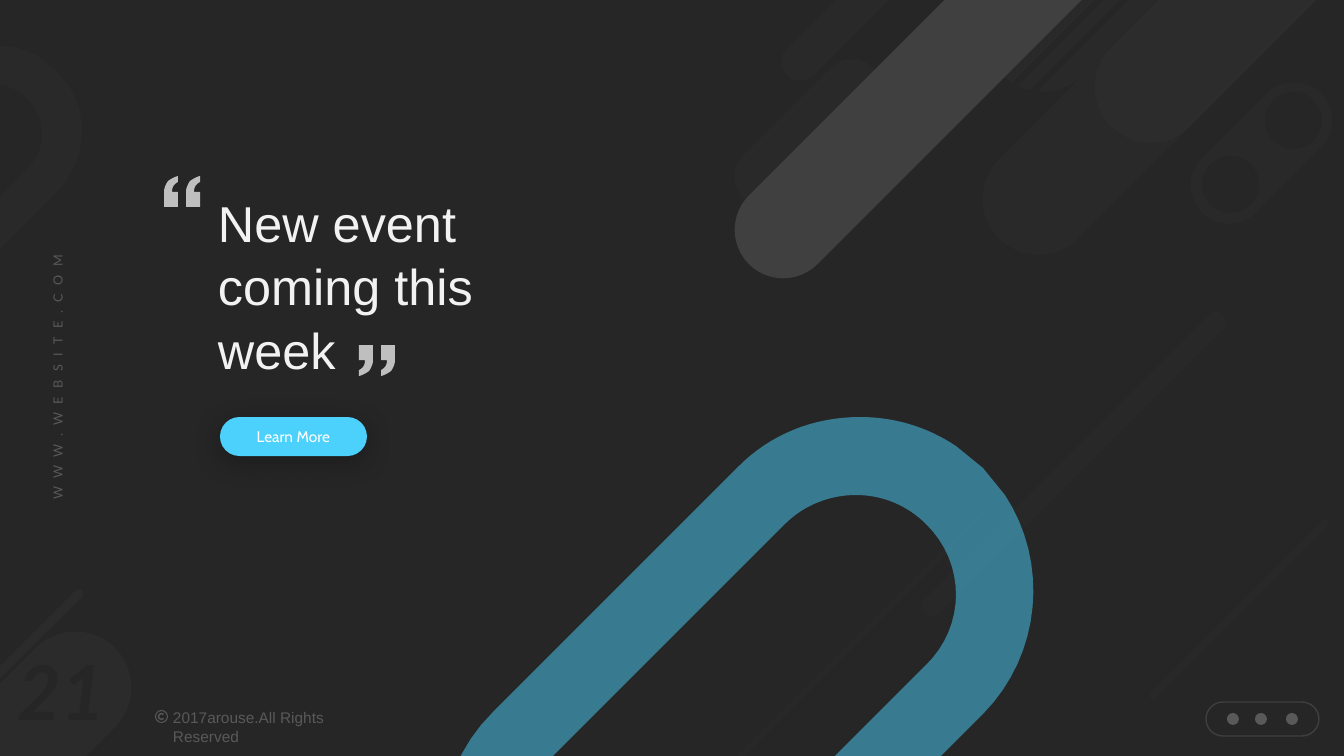
from dataclasses import dataclass
from typing import NamedTuple

from lxml import etree
from pptx import Presentation
from pptx.dml.color import RGBColor
from pptx.enum.shapes import MSO_SHAPE
from pptx.enum.text import MSO_ANCHOR, PP_ALIGN
from pptx.oxml.ns import qn
from pptx.util import Emu, Pt

PILL, OVAL = MSO_SHAPE.ROUNDED_RECTANGLE, MSO_SHAPE.OVAL
DONUT, BLOCK_ARC = MSO_SHAPE.DONUT, MSO_SHAPE.BLOCK_ARC
LEFT, CENTER = PP_ALIGN.LEFT, PP_ALIGN.CENTER
TOP, MIDDLE = MSO_ANCHOR.TOP, MSO_ANCHOR.MIDDLE

EMU_PER_PX = 914400 / 100.8
CURVE_STEPS = 16
DIAGONAL = 45


@dataclass(frozen=True)
class Theme:
    night: str = "262626"
    ash: str = "404040"
    muted: str = "595959"
    quote: str = "BFBFBF"
    headline: str = "F2F2F2"
    white: str = "FFFFFF"
    accent: str = "4BD1FB"
    shadow: str = "0D0D0D"
    headline_font = dict(name="Arial", size=Pt(36))
    rights_font = dict(name="Arial", size=Pt(11))
    button_font = dict(name="Cabin", size=Pt(11))
    address_font = dict(name="Lato", size=Pt(9))
    number_font = dict(name="Lato", size=Pt(54), bold=True, italic=True)


THEME = Theme()


class Box(NamedTuple):
    left: int
    top: int
    width: int
    height: int

    def inner(self, left, top, width, height):
        """Box placed relative to this box's corner."""
        return Box(self.left + left, self.top + top, width, height)


LEFT_LOOP = [
    [(0, 0), (8, 0), (20, 2, 32, 6, 42, 13), (56, 25), (68, 39),
     (90, 72, 86, 117, 56, 147), (0, 203), (0, 151), (28, 122),
     (47, 103, 47, 73, 28, 53), (21, 46, 12, 41, 3, 39), (0, 39)],
]
BLUE_LOOP = [
    [(856, 495), (830, 495, 804, 505, 785, 524), (549, 760),
     (510, 799, 510, 862, 549, 901), (588, 940, 651, 940, 690, 901),
     (926, 665), (966, 626, 966, 563, 926, 524), (907, 505, 882, 495, 856, 495)],
    [(860, 417), (893, 417, 926, 426, 956, 446), (983, 468), (1005, 495),
     (1049, 562, 1042, 654, 983, 714), (739, 958), (671, 1025, 561, 1025, 493, 958),
     (425, 889, 425, 779, 493, 712), (737, 468), (770, 434, 814, 417, 860, 417)],
]
QUOTE_STROKE = [(14, 0), (14, 6), (10, 8, 8, 11, 8, 16), (14, 16), (14, 31),
                (0, 31), (0, 16), (0, 12, 2, 8, 4, 5), (7, 3, 10, 1, 14, 0)]
QUOTE_MARK = [[tuple(v + 22 * (i % 2 == 0) * n for i, v in enumerate(step))
               for step in QUOTE_STROKE] for n in (0, 1)]


def px(length):
    return Emu(round(length * EMU_PER_PX))


def set_alpha(color_holder, alpha):
    color = next(color_holder.iter(qn("a:srgbClr")))
    etree.SubElement(color, qn("a:alpha"), val=str(alpha * 1000))


def paint(shape, color, alpha=100):
    shape.shadow.inherit = False
    shape.line.fill.background()
    shape.fill.solid()
    shape.fill.fore_color.rgb = RGBColor.from_string(color)
    if alpha < 100:
        set_alpha(shape._element.spPr.find(qn("a:solidFill")), alpha)
    return shape


def add_preset(slide, kind, box, color, alpha=100, rotation=0, adjustments=()):
    shape = slide.shapes.add_shape(kind, *map(px, box))
    for index, value in enumerate(adjustments):
        shape.adjustments[index] = value
    shape.rotation = rotation
    return paint(shape, color, alpha)


def add_pill(slide, box, color, alpha=100, rotation=DIAGONAL):
    return add_preset(slide, PILL, box, color, alpha, rotation, (0.5,))


def flatten(contour):
    """Points of a contour; six-number steps are Bezier curves."""
    points = [contour[0]]
    for step in contour[1:]:
        if len(step) == 2:
            points.append(step)
            continue
        x0, y0 = points[-1]
        x1, y1, x2, y2, x3, y3 = step
        for n in range(1, CURVE_STEPS + 1):
            t = n / CURVE_STEPS
            a, b, c, d = (1 - t) ** 3, 3 * t * (1 - t) ** 2, 3 * t * t * (1 - t), t ** 3
            points.append((a * x0 + b * x1 + c * x2 + d * x3,
                           a * y0 + b * y1 + c * y2 + d * y3))
    return points


def add_outline(slide, box, contours, color, alpha=100):
    builder = None
    for contour in contours:
        start, *rest = [(px(box.left + x), px(box.top + y)) for x, y in flatten(contour)]
        if builder is None:
            builder = slide.shapes.build_freeform(*start)
        else:
            builder.move_to(*start)
        builder.add_line_segments(rest)
    return paint(builder.convert_to_shape(), color, alpha)


def write(shape, text, font, color, align=LEFT, anchor=TOP, inset=(10, 5), spacing=None):
    frame = shape.text_frame
    across, down = map(px, inset)
    layout = dict(word_wrap=True, vertical_anchor=anchor, margin_left=across,
                  margin_right=across, margin_top=down, margin_bottom=down)
    for key, value in layout.items():
        setattr(frame, key, value)
    paragraph = frame.paragraphs[0]
    paragraph.alignment = align
    paragraph.line_spacing = spacing
    run = paragraph.add_run()
    run.text = text
    for key, value in font.items():
        setattr(run.font, key, value)
    run.font.color.rgb = RGBColor.from_string(color)
    return run


def add_label(slide, box, *args, **kwargs):
    return write(slide.shapes.add_textbox(*map(px, box)), *args, **kwargs)


def draw_top_right(slide, box):
    for left, top in ((262, -290), (374, -402), (266, -453)):
        add_pill(slide, box.inner(left, top, 112, 619), THEME.ash, 15)
    add_pill(slide, box.inner(323, 69, 77, 168), THEME.ash, 15)
    for left, top in ((365, 92), (302, 156)):
        add_preset(slide, OVAL, box.inner(left, top, 57, 57), THEME.night)
    for n in range(5):
        add_pill(slide, box.inner(77 + n * 49 // 2, -241, 6, 575), THEME.night)


def draw_thin_streaks(slide, box):
    for streak, alpha in (((836, 448, 5, 420), 10), ((1064, 253, 20, 422), 10),
                          ((778, 41, 60, 184), 12), ((833, -82, 38, 184), 15),
                          ((1236, 484, 7, 251), 10)):
        add_pill(slide, box.inner(*streak), THEME.ash, alpha)


def draw_page_number(slide, box):
    add_pill(slide, box.inner(-6, 51, 112, 184), THEME.ash, 20)
    add_pill(slide, box.inner(28, 0, 9, 140), THEME.ash, 20)
    add_label(slide, box.inner(18, 75, 100, 92), "21", THEME.number_font, THEME.night,
              inset=(0, 0))


def draw_rights(slide, box):
    add_preset(slide, DONUT, box.inner(0, 8, 13, 13), THEME.muted, adjustments=(0.08,))
    add_preset(slide, BLOCK_ARC, box.inner(3, 11, 7, 7), THEME.muted,
               adjustments=(27, 189, 0.2))
    add_label(slide, box.inner(8, 0, box.width, box.height),
              "2017arouse.All Rights Reserved", THEME.rights_font, THEME.muted, spacing=1.05)


def draw_address(slide, box):
    holder = slide.shapes.add_textbox(*map(px, box))
    holder.rotation = 270
    run = write(holder, "WWW.WEBSITE.COM", THEME.address_font, THEME.muted, CENTER)
    run.font._element.set("spc", "600")


def draw_social(slide, box):
    """Outlined pill with three plain dots for the icons."""
    frame = add_pill(slide, box, THEME.night, rotation=0)
    frame.fill.background()
    frame.line.width = Pt(1)
    frame.line.color.rgb = RGBColor.from_string(THEME.muted)
    set_alpha(frame._element.spPr.find(qn("a:ln")), 50)
    for center in (27, 55, 86):
        add_preset(slide, OVAL, box.inner(center - 6, 11, 12, 12), THEME.muted)


def draw_button(slide, box):
    button = add_pill(slide, box, THEME.accent, rotation=0)
    effects = button._element.spPr.find(qn("a:effectLst"))
    glow = etree.SubElement(effects, qn("a:outerShdw"), blurRad=str(Pt(20)),
                            dist=str(Pt(5)), dir="5400000", algn="t", rotWithShape="0")
    etree.SubElement(glow, qn("a:srgbClr"), val=THEME.shadow)
    set_alpha(glow, 40)
    write(button, "Learn More", THEME.button_font, THEME.white, CENTER, MIDDLE)


def draw_quote(slide, box):
    add_label(slide, box.inner(44, 8, 316, 193), "New event coming this week",
              THEME.headline_font, THEME.headline, spacing=1.05)
    add_outline(slide, box, QUOTE_MARK, THEME.quote)
    closing = add_outline(slide, box.inner(195, 169, 36, 31), QUOTE_MARK, THEME.quote)
    closing.rotation = 180


def build():
    deck = Presentation()
    deck.slide_width, deck.slide_height = px(1344), px(756)
    slide = deck.slides.add_slide(deck.slide_layouts[6])
    slide.background.fill.solid()
    slide.background.fill.fore_color.rgb = RGBColor.from_string(THEME.night)
    page = Box(0, 0, 1344, 756)

    add_outline(slide, page.inner(0, 46, 86, 203), LEFT_LOOP, THEME.ash, 15)
    draw_top_right(slide, page.inner(900, 0, 444, 260))
    draw_rights(slide, page.inner(155, 702, 190, 48))
    draw_address(slide, page.inner(-88, 365, 291, 25))
    draw_page_number(slide, page.inner(0, 570, 132, 186))
    draw_thin_streaks(slide, page)
    draw_social(slide, page.inner(1206, 702, 113, 34))
    draw_button(slide, page.inner(220, 417, 147, 39))
    draw_quote(slide, page.inner(164, 176, 360, 201))
    add_pill(slide, page.inner(956, -353, 97, 723), THEME.ash)
    add_outline(slide, page, BLUE_LOOP, THEME.accent, 50)
    deck.save("out.pptx")


if __name__ == "__main__":
    build()
